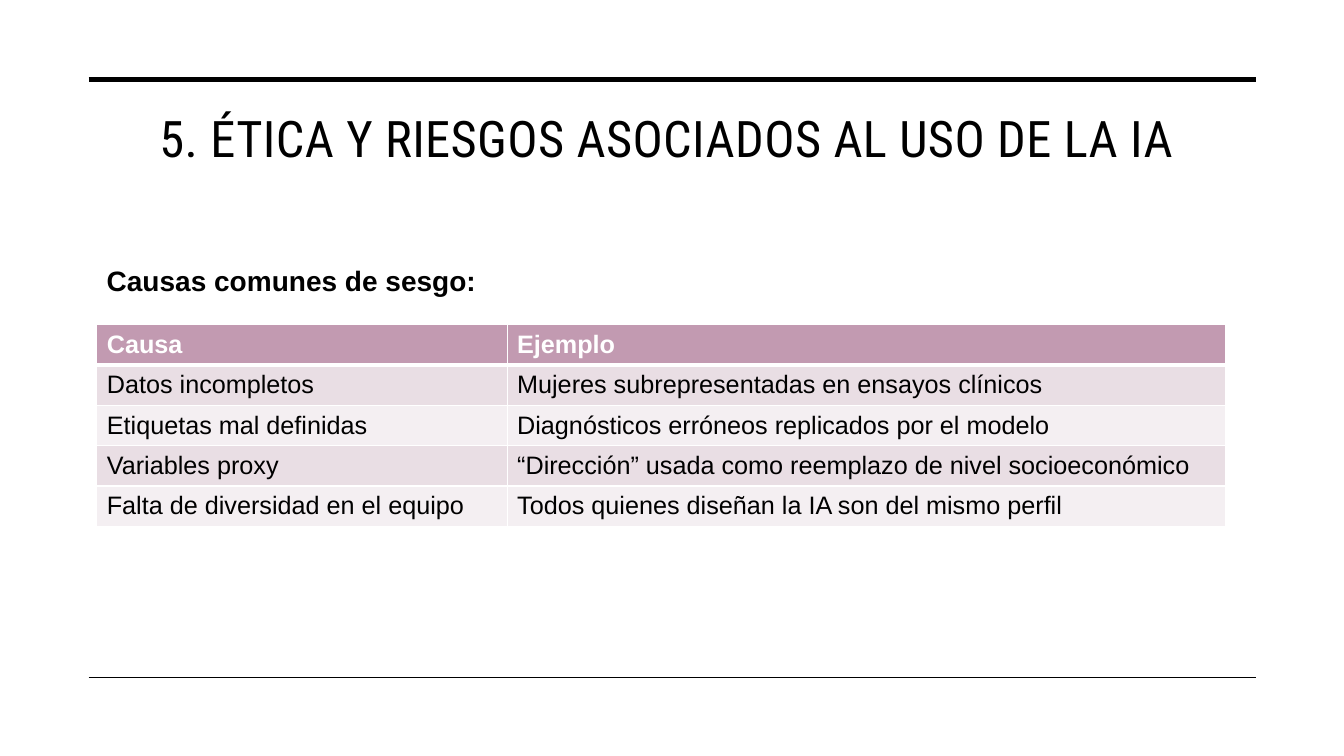
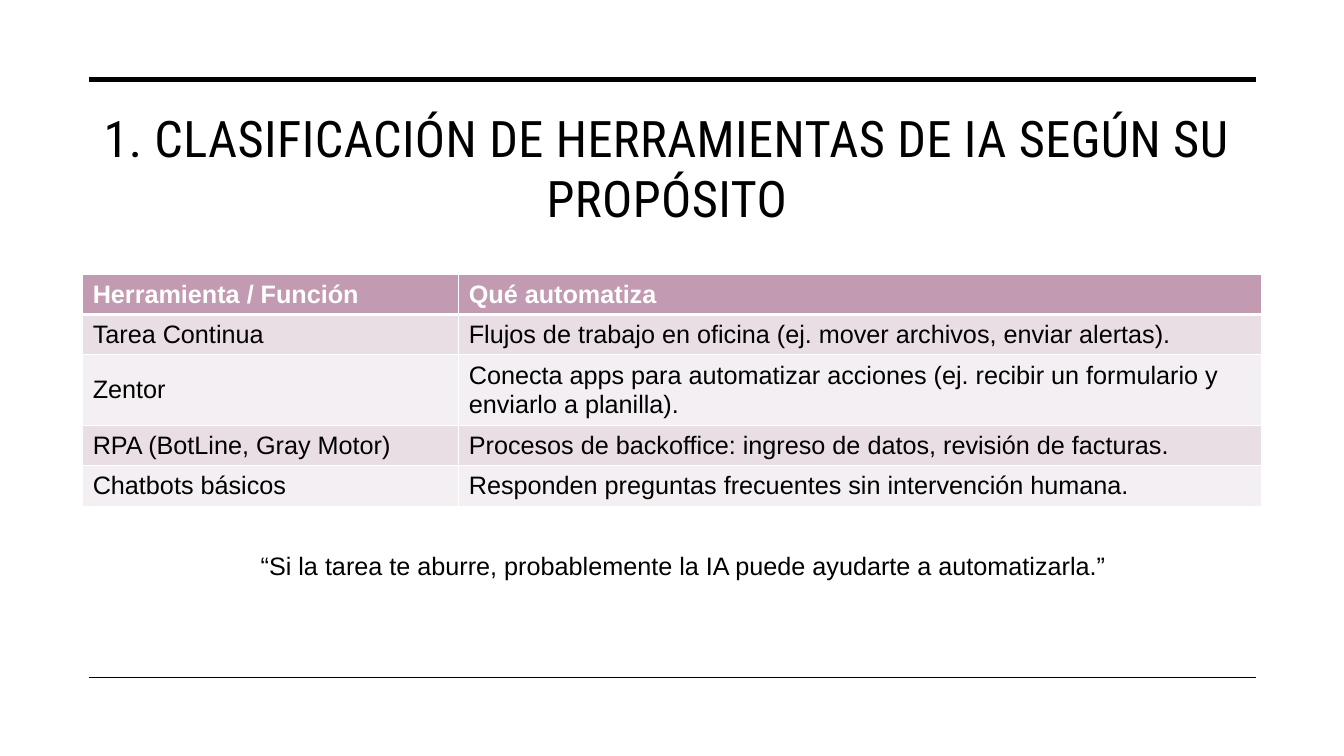
from dataclasses import dataclass

from lxml.etree import SubElement
from pptx import Presentation
from pptx.dml.color import RGBColor
from pptx.enum.shapes import MSO_CONNECTOR
from pptx.enum.text import MSO_ANCHOR, PP_ALIGN
from pptx.oxml.ns import qn
from pptx.util import Inches, Pt


@dataclass(frozen=True)
class Theme:
    ink: RGBColor = RGBColor.from_string("000000")
    white: RGBColor = RGBColor.from_string("FFFFFF")
    header_fill: RGBColor = RGBColor.from_string("C29AB1")
    band_fills: tuple = (RGBColor.from_string("E9DEE4"), RGBColor.from_string("F4EFF2"))
    title_font: str = "Roboto Condensed"
    body_font: str = "Arial"
    title_size: int = 36
    subtitle_size: int = 20
    body_size: int = 18
    title_spacing: int = 30  # hundredths of a point
    border: int = 1
    header_border: int = 3


THEME = Theme()
ROW_HEIGHT = 0.38
WRAPPED_ROW_HEIGHT = 0.66

# Shared frame: top, line width
RULES = [(0.79, 3.5), (6.72, 1)]
RULE_LEFT, RULE_RIGHT = 0.88, 12.46
TITLE_BOX = (0.77, 1.01, 11.69, 1.5)

# Content: boxes are left, top, width, height in inches
SLIDES = [
    {
        "title": "5. ÉTICA Y RIESGOS ASOCIADOS AL USO DE LA IA",
        "subtitle": ("Causas comunes de sesgo:", (0.96, 2.51, 11.5, 0.55)),
        "table": {
            "position": (0.96, 3.22),
            "columns": (4.07, 7.13),
            "wrapped_rows": (),
            "rows": [
                ("Causa", "Ejemplo"),
                ("Datos incompletos", "Mujeres subrepresentadas en ensayos clínicos"),
                ("Etiquetas mal definidas", "Diagnósticos erróneos replicados por el modelo"),
                ("Variables proxy", "“Dirección” usada como reemplazo de nivel socioeconómico"),
                ("Falta de diversidad en el equipo", "Todos quienes diseñan la IA son del mismo perfil"),
            ],
        },
    },
    {
        "title": "1. CLASIFICACIÓN DE HERRAMIENTAS DE IA SEGÚN SU PROPÓSITO",
        "table": {
            "position": (0.82, 2.72),
            "columns": (3.73, 7.96),
            "wrapped_rows": (2,),
            "rows": [
                ("Herramienta / Función", "Qué automatiza"),
                ("Tarea Continua", "Flujos de trabajo en oficina (ej. mover archivos, enviar alertas)."),
                ("Zentor", "Conecta apps para automatizar acciones (ej. recibir un formulario y enviarlo a planilla)."),
                ("RPA (BotLine, Gray Motor)", "Procesos de backoffice: ingreso de datos, revisión de facturas."),
                ("Chatbots básicos", "Responden preguntas frecuentes sin intervención humana."),
            ],
        },
        "quote": (
            "“Si la tarea te aburre, probablemente la IA puede ayudarte a automatizarla.”",
            (1.6, 5.41, 10.35, 0.4),
        ),
    },
]


def style_font(font, name, size, color, bold=False):
    font.name = name
    font.size = Pt(size)
    font.color.rgb = color
    font.bold = bold


def add_text(slide, text, box, size, font_name=THEME.body_font, bold=False,
             alignment=PP_ALIGN.CENTER, anchor=MSO_ANCHOR.TOP):
    frame = slide.shapes.add_textbox(*map(Inches, box)).text_frame
    frame.word_wrap = True
    frame.vertical_anchor = anchor
    paragraph = frame.paragraphs[0]
    paragraph.text = text
    paragraph.alignment = alignment
    style_font(paragraph.font, font_name, size, THEME.ink, bold)
    return paragraph


def add_rule(slide, top, width):
    rule = slide.shapes.add_connector(
        MSO_CONNECTOR.STRAIGHT, Inches(RULE_LEFT), Inches(top), Inches(RULE_RIGHT), Inches(top))
    rule.line.color.rgb = THEME.ink
    rule.line.width = Pt(width)
    SubElement(rule._element.spPr, qn("a:effectLst"))


def add_frame(slide, title):
    for top, width in RULES:
        add_rule(slide, top, width)
    paragraph = add_text(slide, title, TITLE_BOX, THEME.title_size, THEME.title_font)
    paragraph.runs[0].font._element.set("spc", str(THEME.title_spacing))


def set_borders(cell, row_index):
    properties = cell._tc.get_or_add_tcPr()
    for side in "LRTB":
        beside_header = (row_index, side) in ((0, "B"), (1, "T"))
        width = THEME.header_border if beside_header else THEME.border
        line = SubElement(properties, qn(f"a:ln{side}"), w=str(Pt(width)))
        fill = SubElement(line, qn("a:solidFill"))
        SubElement(fill, qn("a:srgbClr"), val=str(THEME.white))


def style_cell(cell, text, row_index):
    header = row_index == 0
    set_borders(cell, row_index)
    cell.fill.solid()
    cell.fill.fore_color.rgb = THEME.header_fill if header else THEME.band_fills[(row_index - 1) % 2]
    cell.vertical_anchor = MSO_ANCHOR.MIDDLE
    cell.text = text
    color = THEME.white if header else THEME.ink
    style_font(cell.text_frame.paragraphs[0].font, THEME.body_font, THEME.body_size, color, header)


def add_banded_table(slide, position, columns, wrapped_rows, rows):
    heights = [WRAPPED_ROW_HEIGHT if index in wrapped_rows else ROW_HEIGHT for index in range(len(rows))]
    table = slide.shapes.add_table(
        len(rows), len(columns), *map(Inches, (*position, sum(columns), sum(heights)))).table
    for column, width in zip(table.columns, columns):
        column.width = Inches(width)
    for row_index, (row, height, texts) in enumerate(zip(table.rows, heights, rows)):
        row.height = Inches(height)
        for cell, text in zip(row.cells, texts):
            style_cell(cell, text, row_index)


def main():
    presentation = Presentation()
    presentation.slide_width = Inches(13.33)
    presentation.slide_height = Inches(7.5)
    blank_layout = presentation.slide_layouts[6]
    for content in SLIDES:
        slide = presentation.slides.add_slide(blank_layout)
        add_frame(slide, content["title"])
        if "subtitle" in content:
            add_text(slide, *content["subtitle"], THEME.subtitle_size, bold=True,
                     alignment=PP_ALIGN.LEFT, anchor=MSO_ANCHOR.MIDDLE)
        add_banded_table(slide, **content["table"])
        if "quote" in content:
            add_text(slide, *content["quote"], THEME.body_size)
    presentation.save("out.pptx")


if __name__ == "__main__":
    main()
